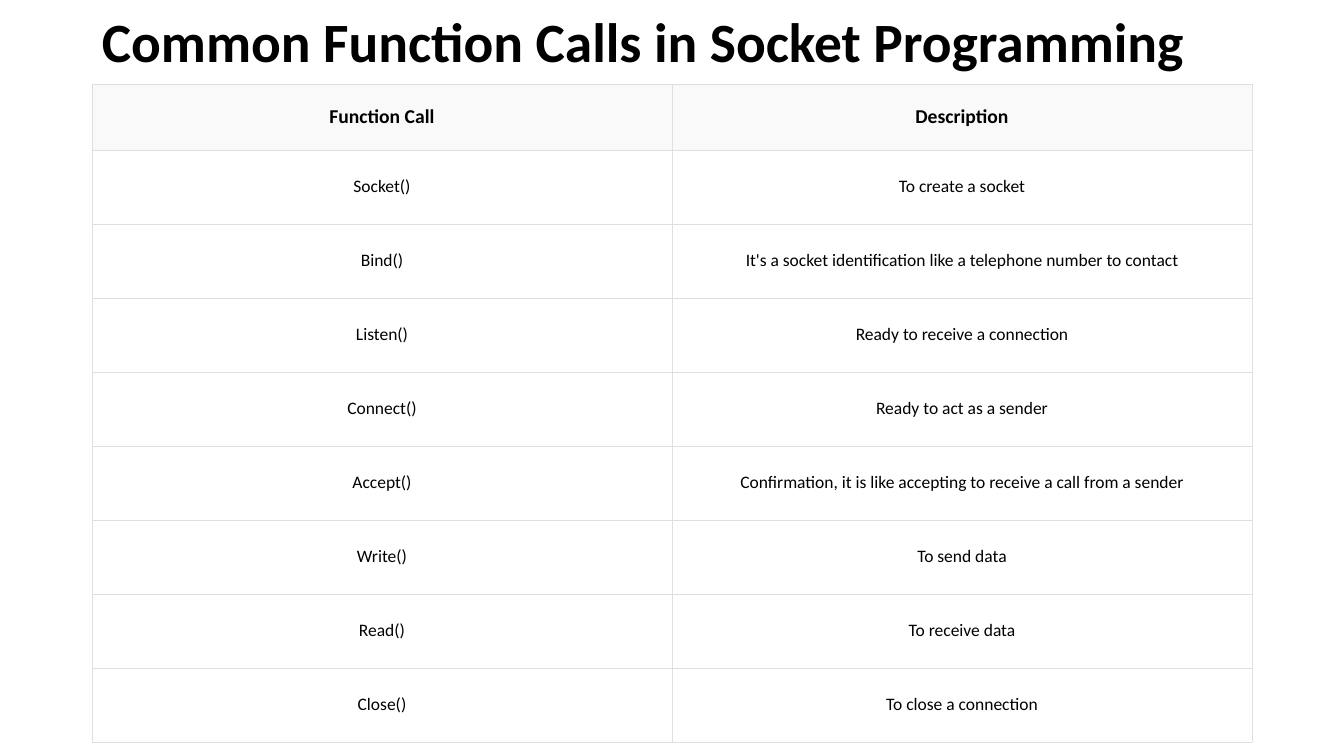
from lxml.etree import SubElement
from pptx import Presentation
from pptx.dml.color import RGBColor
from pptx.enum.text import MSO_ANCHOR, PP_ALIGN
from pptx.oxml.ns import qn
from pptx.util import Pt

PX = 914400 / 100.8
BLACK = RGBColor(0x00, 0x00, 0x00)
WHITE = RGBColor(0xFF, 0xFF, 0xFF)
HEADER_GREY = RGBColor(0xF9, 0xF9, 0xF9)
BORDER_GREY = RGBColor(0xDF, 0xDF, 0xDF)

ROWS = [
    ("Function Call", "Description"),
    ("Socket()", "To create a socket"),
    ("Bind()", "It's a socket identification like a telephone number to contact"),
    ("Listen()", "Ready to receive a connection"),
    ("Connect()", "Ready to act as a sender"),
    ("Accept()", "Confirmation, it is like accepting to receive a call from a sender"),
    ("Write()", "To send data"),
    ("Read()", "To receive data"),
    ("Close()", "To close a connection"),
]
COLUMN_WIDTH = 580
HEADER_HEIGHT = 66
ROW_HEIGHT = 74


def px(length):
    return round(length * PX)


def style_text(para, size, bold):
    para.font.name = "Calibri"
    para.font.size = Pt(size)
    para.font.bold = bold
    para.font.color.rgb = BLACK


deck = Presentation()
deck.slide_width = px(1344)
deck.slide_height = px(756)
page = deck.slides.add_slide(deck.slide_layouts[6])

title = page.shapes.add_textbox(px(92), px(10), px(1160), px(70)).text_frame
title.word_wrap = True
title.vertical_anchor = MSO_ANCHOR.MIDDLE
title.text = "Common Function Calls in Socket Programming"
title.paragraphs[0].line_spacing = 0.9
style_text(title.paragraphs[0], 39.6, True)

table_height = HEADER_HEIGHT + ROW_HEIGHT * (len(ROWS) - 1)
table = page.shapes.add_table(
    len(ROWS), 2, px(92), px(84), px(2 * COLUMN_WIDTH), px(table_height)
).table
table.first_row = False
table.horz_banding = False
for column in table.columns:
    column.width = px(COLUMN_WIDTH)

for row_index, texts in enumerate(ROWS):
    is_header = row_index == 0
    table.rows[row_index].height = px(HEADER_HEIGHT if is_header else ROW_HEIGHT)
    for column_index, text in enumerate(texts):
        cell = table.cell(row_index, column_index)
        cell.text = text
        cell.vertical_anchor = MSO_ANCHOR.MIDDLE
        cell.margin_left = cell.margin_right = px(10)
        cell.margin_top = cell.margin_bottom = px(10 if is_header else 15)
        para = cell.text_frame.paragraphs[0]
        para.alignment = PP_ALIGN.CENTER
        style_text(para, 14 if is_header else 12.5, is_header)

        properties = cell._tc.get_or_add_tcPr()
        for side in ("a:lnL", "a:lnR", "a:lnT", "a:lnB"):
            border = SubElement(properties, qn(side), w=str(Pt(0.23)))
            fill = SubElement(border, qn("a:solidFill"))
            SubElement(fill, qn("a:srgbClr"), val=str(BORDER_GREY))
        cell.fill.solid()
        cell.fill.fore_color.rgb = HEADER_GREY if is_header else WHITE

deck.save("out.pptx")
